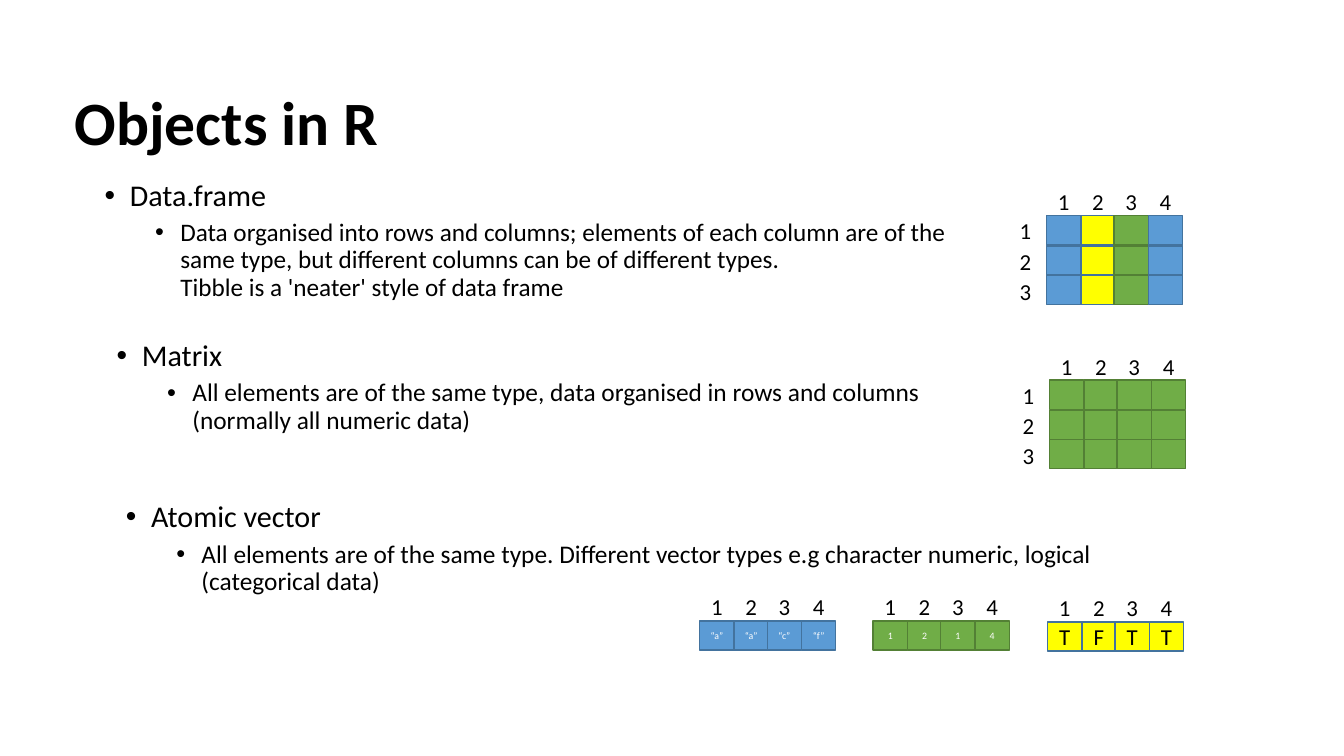
from dataclasses import dataclass

from lxml.etree import SubElement
from pptx import Presentation
from pptx.dml.color import RGBColor
from pptx.enum.shapes import MSO_SHAPE as Shape
from pptx.enum.text import MSO_ANCHOR as Anchor, PP_ALIGN as Align
from pptx.oxml.ns import qn
from pptx.util import Emu, Pt

EMU_PER_PX = 9144  # 100 px to the inch


@dataclass(frozen=True)
class Theme:
    font: str = "Calibri"
    ink: str = "000000"
    white: str = "FFFFFF"
    character: tuple = ("5B9BD5", "43739E")  # fill, line
    numeric: tuple = ("70AD47", "538035")
    logical: tuple = ("FFFF00", "43739E")
    title: float = 44
    heading: float = 21.5
    detail: float = 18.1
    label: float = 16.3
    small: float = 7


THEME = Theme()
CELL_W, CELL_H = 34, 29
LABEL_H = 38
LAST_COLUMN, LAST_ROW = 101, 59  # offsets of the fourth column and third row


def px(length):
    return Emu(length * EMU_PER_PX)


def rgb(code):
    return RGBColor.from_string(code)


def write(paragraph, text, size, color=THEME.ink, bold=False, align=Align.LEFT):
    paragraph.text = text
    paragraph.alignment = align
    for run in paragraph.runs:
        run.font.name = THEME.font
        run.font.size = Pt(size)
        run.font.bold = bold
        run.font.color.rgb = rgb(color)


def centre_in(frame, text, **style):
    clear_margins(frame)
    write(frame.paragraphs[0], text, align=Align.CENTER, **style)


def clear_margins(frame):
    frame.word_wrap = True
    frame.vertical_anchor = Anchor.MIDDLE
    frame.margin_left = frame.margin_right = 0
    frame.margin_top = frame.margin_bottom = 0


def add_bullet(paragraph, level, space_before):
    paragraph.level = level
    paragraph.line_spacing = 0.9
    paragraph.space_before = Pt(space_before)
    properties = paragraph._p.get_or_add_pPr()
    properties.set("marL", str(px(25 + 50 * level)))
    properties.set("indent", str(px(-25)))
    SubElement(properties, qn("a:buFont")).set("typeface", "Arial")
    SubElement(properties, qn("a:buChar")).set("char", "•")


def add_title(slide, box, text):
    frame = slide.shapes.add_textbox(*map(px, box)).text_frame
    clear_margins(frame)
    write(frame.paragraphs[0], text, THEME.title, bold=True)
    frame.paragraphs[0].line_spacing = 0.9


def add_topic(slide, box, heading, detail, detail_size=THEME.detail):
    frame = slide.shapes.add_textbox(*map(px, box)).text_frame
    frame.word_wrap = True
    heading_line, detail_line = frame.paragraphs[0], frame.add_paragraph()
    write(heading_line, heading, THEME.heading)
    add_bullet(heading_line, level=0, space_before=10)
    write(detail_line, detail, detail_size)
    add_bullet(detail_line, level=1, space_before=5)


def add_label(group, left, top, number):
    label = group.shapes.add_textbox(*map(px, (left, top, CELL_W, LABEL_H)))
    centre_in(label.text_frame, str(number), size=THEME.label)


def add_cell(group, left, top, colors, text, **style):
    cell = group.shapes.add_shape(
        Shape.RECTANGLE, *map(px, (left, top, CELL_W, CELL_H)))
    fill, line = colors
    cell.shadow.inherit = False
    cell.fill.solid()
    cell.fill.fore_color.rgb = rgb(fill)
    cell.line.color.rgb = rgb(line)
    cell.line.width = Pt(1)
    if text:
        centre_in(cell.text_frame, text, **style)


def add_grid(slide, left, top, column_colors, rows, row_labels=False, **style):
    """Draw numbered columns of cells; left and top are the first cell's corner."""
    group = slide.shapes.add_group_shape()
    xs = [left + round(i * LAST_COLUMN / 3) for i in range(4)]
    for number, x in enumerate(xs, 1):
        add_label(group, x, top - 33, number)
    for row, values in enumerate(rows):
        y = top + round(row * LAST_ROW / 2)
        for x, colors, value in zip(xs, column_colors, values):
            add_cell(group, x, y, colors, value, **style)
        if row_labels:
            add_label(group, left - 38, top - 4 + 30 * row, row + 1)


def build_objects_slide(slide):
    add_title(slide, (74, 62, 1200, 125), "Objects in R")

    add_topic(slide, (94, 174, 900, 135), "Data.frame",
              "Data organised into rows and columns; elements of each column "
              "are of the same type, but different columns can be of different "
              "types.\vTibble is a 'neater' style of data frame", detail_size=18)
    add_topic(slide, (106, 333, 900, 147), "Matrix",
              "All elements are of the same type, data organised in rows and "
              "columns (normally all numeric data)")
    add_topic(slide, (115, 493, 1052, 110), "Atomic vector",
              "All elements are of the same type. Different vector types e.g "
              "character numeric, logical (categorical data)")

    character, numeric, logical = THEME.character, THEME.numeric, THEME.logical
    empty_rows = [[""] * 4] * 3
    add_grid(slide, 1038, 214, [character, logical, numeric, character],
             empty_rows, row_labels=True)
    add_grid(slide, 1041, 377, [numeric] * 4, empty_rows, row_labels=True)

    small = {"size": THEME.small, "color": THEME.white}
    add_grid(slide, 694, 616, [character] * 4,
             [["“a”", "“a”", "“c”", "“f”"]], **small)
    add_grid(slide, 866, 616, [numeric] * 4, [["1", "2", "1", "4"]], **small)
    add_grid(slide, 1039, 617, [logical] * 4, [["T", "F", "T", "T"]],
             size=THEME.label)


def main():
    deck = Presentation()
    deck.slide_width, deck.slide_height = px(1333), px(750)
    build_objects_slide(deck.slides.add_slide(deck.slide_layouts[6]))
    deck.save("out.pptx")


if __name__ == "__main__":
    main()
